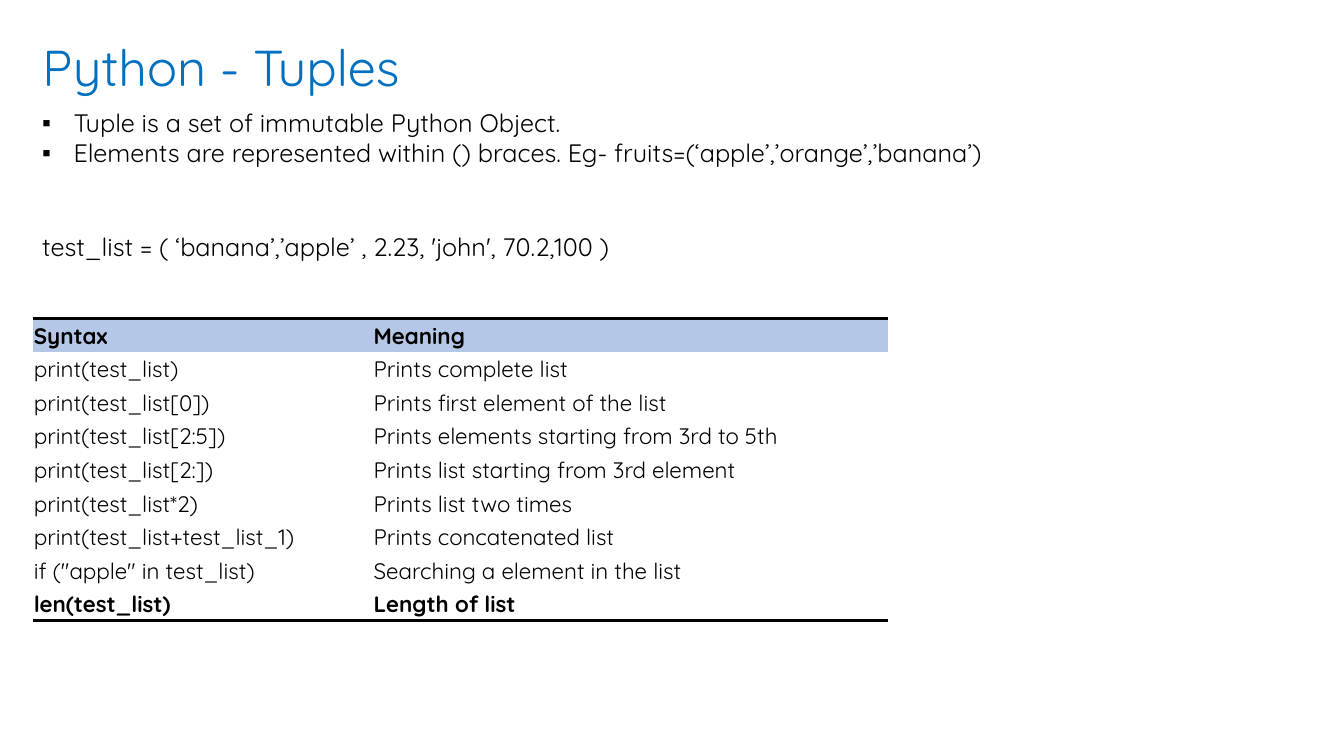
from lxml.etree import SubElement
from pptx import Presentation
from pptx.dml.color import RGBColor
from pptx.enum.text import MSO_ANCHOR as Anchor, MSO_AUTO_SIZE as AutoSize, PP_ALIGN as Align
from pptx.oxml import parse_xml
from pptx.oxml.ns import nsdecls, qn
from pptx.util import Pt

FONT = "Quicksand"
COLORS = {"title": "0070C0", "text": "000000", "header": "B4C7E7", "body": "FFFFFF"}
LEFT = 23
NO_GRID_STYLE = "{2D5ABB26-0587-4C30-8999-92F81FD0307C}"

BULLETS = [
    "Tuple is a set of immutable Python Object.",
    "Elements are represented within () braces. Eg- fruits=(‘apple’,’orange’,’banana’)",
]
EXAMPLE = "test_list = ( ‘banana’,’apple’ , 2.23, 'john', 70.2,100 )"
SYNTAX_ROWS = [
    ("Syntax", "Meaning"),
    ("print(test_list)", "Prints complete list"),
    ("print(test_list[0])", "Prints first element of the list"),
    ("print(test_list[2:5])", "Prints elements starting from 3rd to 5th"),
    ("print(test_list[2:])", "Prints list starting from 3rd element"),
    ("print(test_list*2)", "Prints list two times"),
    ("print(test_list+test_list_1)", "Prints concatenated list"),
    ('if ("apple" in test_list)', "Searching a element in the list"),
    ("len(test_list)", "Length of list"),
]


def add_run(paragraph, text, size, color="text", bold=False):
    run = paragraph.add_run()
    run.text = text
    run.font.name = FONT
    run.font.size = Pt(size)
    run.font.bold = bold
    run.font.color.rgb = RGBColor.from_string(COLORS[color])


def set_title(slide, text):
    title = slide.shapes.title
    title.left, title.top, title.width, title.height = Pt(LEFT), Pt(22), Pt(685), Pt(51)
    frame = title.text_frame
    frame.auto_size = AutoSize.NONE
    frame.vertical_anchor = Anchor.TOP
    paragraph = frame.paragraphs[0]
    paragraph.alignment = Align.LEFT
    add_run(paragraph, text, 36, "title")


def add_bullet(paragraph):
    properties = paragraph._p.get_or_add_pPr()
    properties.set("marL", str(Pt(22.5)))
    properties.set("indent", str(-Pt(22.5)))
    SubElement(properties, qn("a:buFont"), typeface="Arial")
    SubElement(properties, qn("a:buChar"), char="▪")


def add_text(slide, lines, top, width, height, wrap=True, bulleted=False):
    box = slide.shapes.add_textbox(Pt(LEFT), Pt(top), Pt(width), Pt(height))
    frame = box.text_frame
    frame.word_wrap = wrap
    frame.auto_size = AutoSize.SHAPE_TO_FIT_TEXT
    for index, line in enumerate(lines):
        paragraph = frame.add_paragraph() if index else frame.paragraphs[0]
        if bulleted:
            add_bullet(paragraph)
        add_run(paragraph, line, 18)


def add_border(cell, side):
    line = parse_xml(
        f'<a:{side} {nsdecls("a")} w="{Pt(2)}"><a:solidFill>'
        f'<a:srgbClr val="{COLORS["text"]}"/></a:solidFill></a:{side}>'
    )
    cell._tc.get_or_add_tcPr().insert(0, line)


def fill_cell(cell, text, fill, bold):
    cell.margin_left = cell.margin_top = cell.margin_right = Pt(0.7)
    cell.margin_bottom = Pt(0)
    cell.vertical_anchor = Anchor.MIDDLE
    cell.fill.solid()
    cell.fill.fore_color.rgb = RGBColor.from_string(COLORS[fill])
    add_run(cell.text_frame.paragraphs[0], text, 16, bold=bold)


def add_syntax_table(slide, rows, top, column_widths, row_height):
    frame = slide.shapes.add_table(
        len(rows), len(column_widths), Pt(LEFT + 0.5), Pt(top),
        Pt(sum(column_widths)), Pt(row_height * len(rows)),
    )
    table = frame.table
    table._tbl.tblPr.find(qn("a:tableStyleId")).text = NO_GRID_STYLE
    table.horz_banding = False
    table.last_row = True
    for column, width in zip(table.columns, column_widths):
        column.width = Pt(width)
    last = len(rows) - 1
    for row_index, texts in enumerate(rows):
        table.rows[row_index].height = Pt(row_height)
        for column_index, text in enumerate(texts):
            cell = table.cell(row_index, column_index)
            fill = "body" if row_index else "header"
            fill_cell(cell, text, fill, bold=row_index in (0, last))
            # Rules above the header and below the last row
            if row_index == 0:
                add_border(cell, "lnT")
            elif row_index == last:
                add_border(cell, "lnB")


def main():
    presentation = Presentation()
    presentation.slide_width, presentation.slide_height = Pt(960), Pt(540)
    slide = presentation.slides.add_slide(presentation.slide_layouts[5])

    # Title and introduction
    set_title(slide, "Python - Tuples")
    add_text(slide, BULLETS, 73, 919, 51, bulleted=True)

    # Syntax overview
    add_syntax_table(slide, SYNTAX_ROWS, 227.5, (242.75, 368), 24)

    # Example tuple
    add_text(slide, [EXAMPLE], 162, 461.5, 29, wrap=False)

    presentation.save("out.pptx")


if __name__ == "__main__":
    main()
